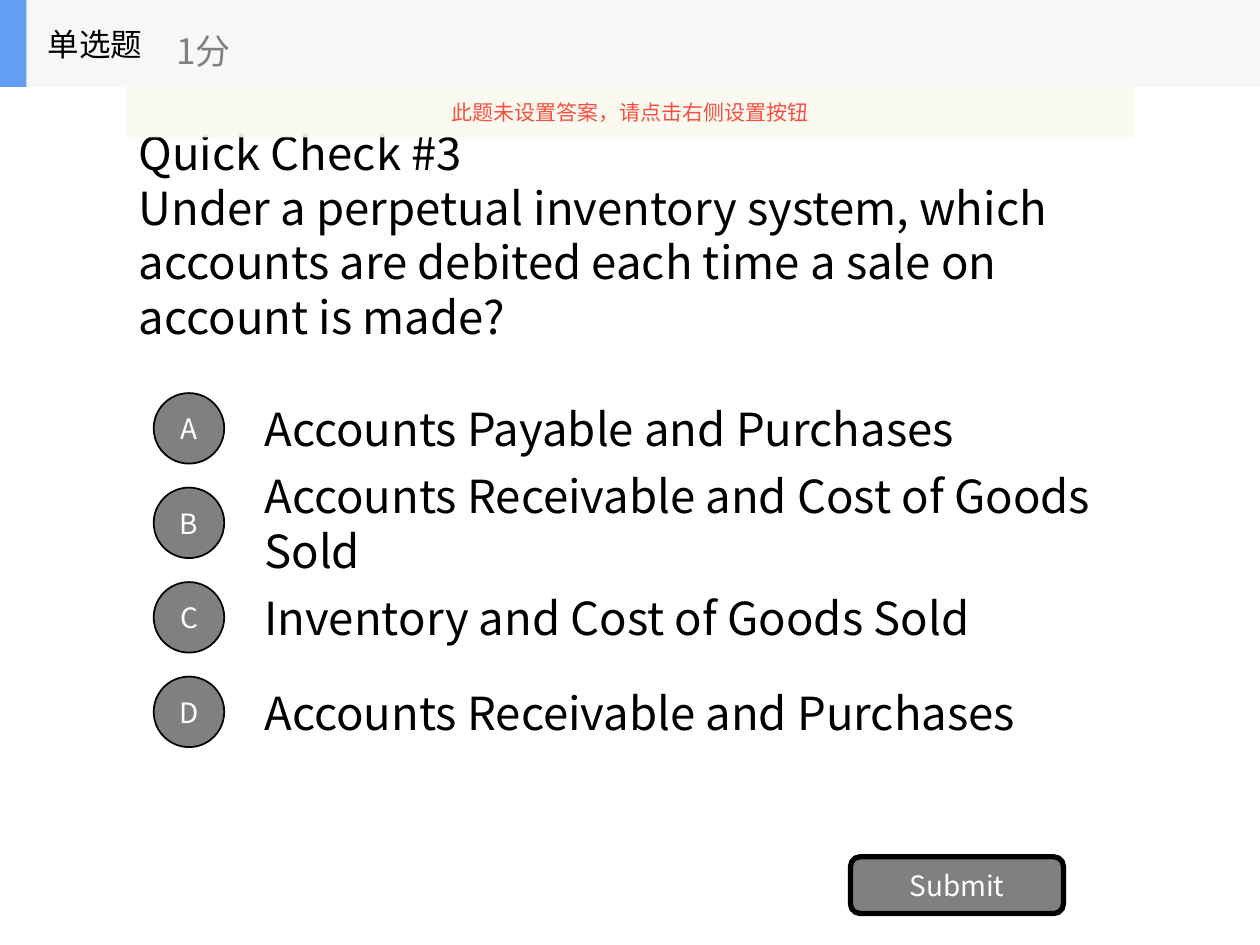
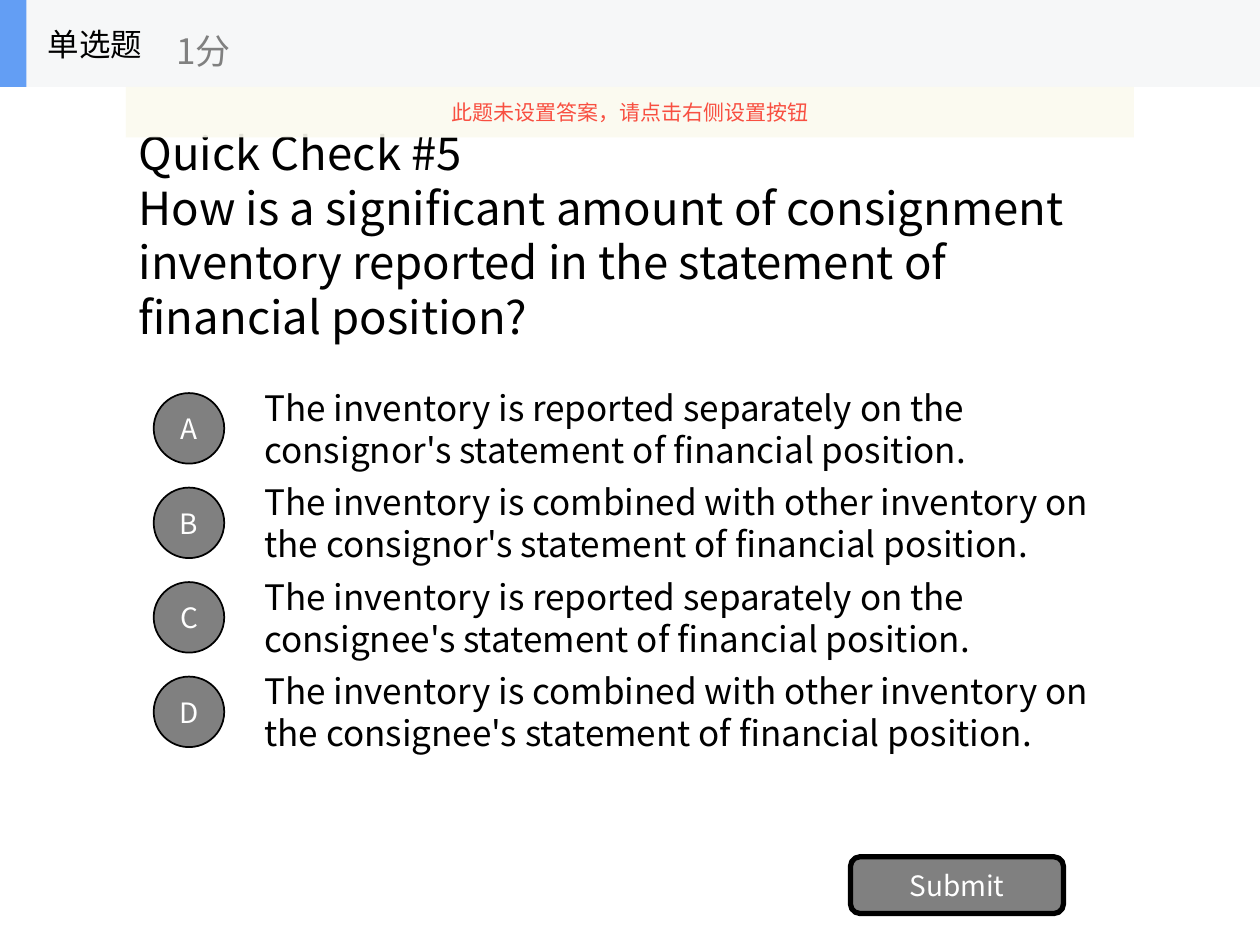
import pptx
import pptx.dml.color
import pptx.enum.shapes
import pptx.enum.text
import pptx.oxml.ns
import pptx.util
from lxml import etree

SHAPE = pptx.enum.shapes.MSO_SHAPE
ALIGN = pptx.enum.text.PP_ALIGN

FONT = "Noto Sans CJK SC"
BLACK, WHITE, GREY = "000000", "FFFFFF", "808080"
HEADER_GREY, ACCENT_BLUE = "F6F7F8", "639EF4"
NOTICE_CREAM, NOTICE_RED = "FBFAEF", "F84F41"

# The slide is a grid of ten columns by ten rows.
WIDTH, HEIGHT = 10, 7.5
COLUMN, ROW = WIDTH / 10, HEIGHT / 10
HEADER_HEIGHT = 0.69
OPTIONS_TOP = 3.05
OPTION_HEIGHT = 0.7
BADGE = 0.56

QUESTIONS = [
    {
        "heading": "Quick Check #3",
        "question": "Under a perpetual inventory system, which accounts are "
                    "debited each time a sale on account is made?",
        "option_size": 26,
        "options": [
            "Accounts Payable and Purchases",
            "Accounts Receivable and Cost of Goods Sold",
            "Inventory and Cost of Goods Sold",
            "Accounts Receivable and Purchases",
        ],
    },
    {
        "heading": "Quick Check #5",
        "question": "How is a significant amount of consignment inventory "
                    "reported in the statement of financial position?",
        "option_size": 20,
        "options": [
            f"The inventory is {treatment} on the {party}'s statement of financial position."
            for party in ("consignor", "consignee")
            for treatment in ("reported separately", "combined with other inventory")
        ],
    },
]


def paint(fill, colour, opacity=100):
    fill.solid()
    fill.fore_color.rgb = pptx.dml.color.RGBColor.from_string(colour)
    if opacity < 100:
        tint = fill.fore_color._xFill.find(pptx.oxml.ns.qn("a:srgbClr"))
        alpha = etree.SubElement(tint, pptx.oxml.ns.qn("a:alpha"))
        alpha.set("val", str(opacity * 1000))


def put(shapes, box, text="", *, kind=None, placeholder=None, fill=None, opacity=100,
        line=0, size=16, colour=BLACK, align=ALIGN.LEFT, margin=0.1):
    """Place a preset shape, a placeholder or (by default) a text box, and write in it."""
    left, top, width, height = (pptx.util.Inches(length) for length in box)
    if kind is not None:
        part = shapes.add_shape(kind, left, top, width, height)
        part.shadow.inherit = False
        paint(part.fill, fill, opacity)
        if line:
            paint(part.line.fill, BLACK)
            part.line.width = pptx.util.Pt(line)
        else:
            part.line.fill.background()
    elif placeholder is not None:
        part = placeholder
        part.left, part.top, part.width, part.height = left, top, width, height
    else:
        part = shapes.add_textbox(left, top, width, height)
    if not text:
        return

    frame = part.text_frame
    frame.text = text
    frame.word_wrap = True
    frame.auto_size = pptx.enum.text.MSO_AUTO_SIZE.NONE
    frame.vertical_anchor = pptx.enum.text.MSO_ANCHOR.MIDDLE
    frame.margin_left = frame.margin_right = pptx.util.Inches(margin)
    for paragraph in frame.paragraphs:
        paragraph.alignment = align
        for run in paragraph.runs:
            run.font.name = FONT
            run.font.size = pptx.util.Pt(size)
            paint(run.font.fill, colour)
            east_asian = etree.SubElement(run._r.get_or_add_rPr(), pptx.oxml.ns.qn("a:ea"))
            east_asian.set("typeface", FONT)


deck = pptx.Presentation()
deck.slide_width = pptx.util.Inches(WIDTH)
deck.slide_height = pptx.util.Inches(HEIGHT)
title_only = deck.slide_layouts[5]

for quiz in QUESTIONS:
    slide = deck.slides.add_slide(title_only)
    shapes = slide.shapes

    # Question
    put(shapes, (COLUMN, HEADER_HEIGHT, 8 * COLUMN, 2.34),
        quiz["heading"] + "\n" + quiz["question"], placeholder=shapes.title, size=26)

    # Answer options, each with its lettered badge
    for row, (letter, option) in enumerate(zip("ABCD", quiz["options"])):
        top = OPTIONS_TOP + row * ROW
        put(shapes, (2 * COLUMN, top, 7 * COLUMN, OPTION_HEIGHT), option,
            size=quiz["option_size"])
        put(shapes, (1.5 * COLUMN - BADGE / 2, top + (OPTION_HEIGHT - BADGE) / 2, BADGE, BADGE),
            letter, kind=SHAPE.OVAL, fill=GREY, line=1, colour=WHITE,
            align=ALIGN.CENTER, margin=0)

    put(shapes, (6.75 * COLUMN, 6.8, 1.69, 0.6 * ROW), "Submit",
        kind=SHAPE.ROUNDED_RECTANGLE, fill=GREY, line=3, colour=WHITE, align=ALIGN.CENTER)

    # Header band with question type and score
    header = shapes.add_group_shape().shapes
    put(header, (0, 0, WIDTH, HEADER_HEIGHT), kind=SHAPE.RECTANGLE, fill=HEADER_GREY)
    put(header, (0, 0, 0.21, HEADER_HEIGHT), kind=SHAPE.RECTANGLE, fill=ACCENT_BLUE)
    put(header, (0.28, 0, 2.08, HEADER_HEIGHT), "单选题", size=18)
    put(header, (1.3, 0.12, 2.5, 0.56), "1分", size=20, colour=GREY)

    # Notice that no answer is set
    put(shapes, (COLUMN, HEADER_HEIGHT, 8 * COLUMN, 0.4), "此题未设置答案，请点击右侧设置按钮",
        kind=SHAPE.RECTANGLE, fill=NOTICE_CREAM, opacity=90,
        size=12, colour=NOTICE_RED, align=ALIGN.CENTER)

deck.save("out.pptx")
